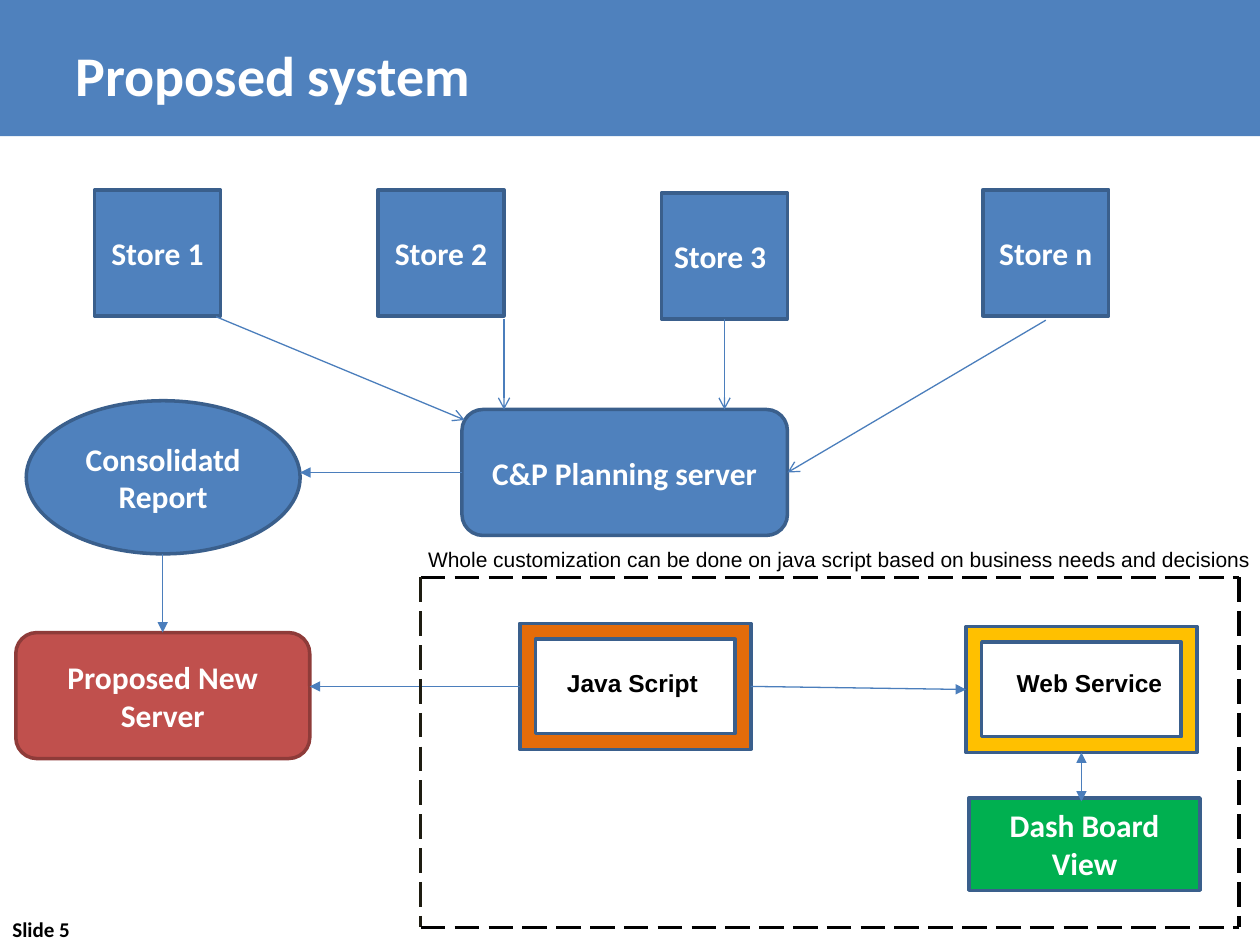
from lxml import etree
from pptx import Presentation
from pptx.dml.color import RGBColor
from pptx.enum.dml import MSO_LINE
from pptx.enum.shapes import MSO_CONNECTOR, MSO_SHAPE
from pptx.enum.text import MSO_ANCHOR, PP_ALIGN
from pptx.oxml.ns import qn
from pptx.util import Pt

RECT, ROUNDED = MSO_SHAPE.RECTANGLE, MSO_SHAPE.ROUNDED_RECTANGLE
OVAL, FRAME = MSO_SHAPE.OVAL, MSO_SHAPE.FRAME
PROCESS = MSO_SHAPE.FLOWCHART_PROCESS
STRAIGHT = MSO_CONNECTOR.STRAIGHT
LONG_DASH = MSO_LINE.LONG_DASH
TOP, MIDDLE = MSO_ANCHOR.TOP, MSO_ANCHOR.MIDDLE
LEFT, CENTER = PP_ALIGN.LEFT, PP_ALIGN.CENTER

COLORS = {
    "blue": "4F81BD", "blue_edge": "3A5F8C", "arrow": "4B7EBC",
    "red": "C0504D", "red_edge": "8E3B39", "orange": "E46C0A",
    "yellow": "FFC000", "green": "00B050",
    "white": "FFFFFF", "black": "000000", "dark": "1E1C11",
}


def rgb(name):
    return RGBColor.from_string(COLORS[name])


class Diagram:
    edge_width = 2
    arrow_width = 0.75
    dash_width = 1.75

    def __init__(self, slide):
        self.shapes = slide.shapes

    def set_text(self, shape, text, size=18, font="Calibri", color="white",
                 bold=True, align=CENTER, anchor=MIDDLE, **frame_format):
        frame = shape.text_frame
        settings = {"word_wrap": True, "vertical_anchor": anchor, **frame_format}
        for name, value in settings.items():
            setattr(frame, name, value)
        paragraph = frame.paragraphs[0]
        paragraph.alignment = align
        run = paragraph.add_run()
        run.text = text
        for name, value in {"size": Pt(size), "name": font, "bold": bold}.items():
            setattr(run.font, name, value)
        run.font.color.rgb = rgb(color)

    def box(self, kind, x, y, w, h, text="", fill="blue", edge="blue_edge",
            **text_format):
        shape = self.shapes.add_shape(kind, Pt(x), Pt(y), Pt(w), Pt(h))
        shape.shadow.inherit = False
        shape.fill.solid()
        shape.fill.fore_color.rgb = rgb(fill)
        if edge:
            shape.line.color.rgb = rgb(edge)
            shape.line.width = Pt(self.edge_width)
        else:
            shape.line.fill.background()
        if text:
            self.set_text(shape, text, **text_format)

    def label(self, x, y, w, h, text, **text_format):
        area = self.shapes.add_textbox(Pt(x), Pt(y), Pt(w), Pt(h))
        self.set_text(area, text, **{"align": LEFT, "anchor": TOP,
                                     "color": "black", **text_format})

    def line(self, start, end, color, width):
        link = self.shapes.add_connector(
            STRAIGHT, Pt(start[0]), Pt(start[1]), Pt(end[0]), Pt(end[1]))
        link.line.color.rgb = rgb(color)
        link.line.width = Pt(width)
        etree.SubElement(link.element.spPr, qn("a:effectLst"))
        return link

    def arrow(self, start, end, tail="triangle", head=None):
        link = self.line(start, end, "arrow", self.arrow_width)
        outline = link.element.spPr.find(qn("a:ln"))
        for tag, kind in (("a:headEnd", head), ("a:tailEnd", tail)):
            if kind:
                etree.SubElement(outline, qn(tag), type=kind)

    def dashed(self, start, end, color="black"):
        self.line(start, end, color, self.dash_width).line.dash_style = LONG_DASH


prs = Presentation()
prs.slide_width, prs.slide_height = Pt(720), Pt(540)
diagram = Diagram(prs.slides.add_slide(prs.slide_layouts[6]))

# Title band and slide number
diagram.box(RECT, 0, 0, 720, 77.75, edge=None)
diagram.label(36, 12.25, 648, 60, "Proposed system", size=32, color="white",
              anchor=MIDDLE)
diagram.label(0, 520, 60, 20, "Slide 5", size=12)

# Stores
stores = [("Store 1", 54, 108.5, 7.2), ("Store 2", 216, 108.5, 7.2),
          ("Store 3", 378, 110.2, 12), ("Store n", 561.6, 108.5, 7.2)]
for store, x, y, right_inset in stores:
    diagram.box(RECT, x, y, 72, 72, store, margin_right=Pt(right_inset))

# Servers and report
diagram.box(ROUNDED, 264, 234, 186, 72, "C&P Planning server")
diagram.box(OVAL, 15, 229, 156.5, 87.5, "Consolidatd Report")
diagram.box(ROUNDED, 9, 361.5, 168, 72, "Proposed New Server",
            fill="red", edge="red_edge")

# Stores feed the planning server
feeds = [((123.5, 181), (265.5, 240)), ((288, 182.5), (288, 234)),
         ((414, 182.5), (414, 234)), ((597.6, 183), (450, 270))]
for start, end in feeds:
    diagram.arrow(start, end, tail="arrow")

# Script, web service and dashboard
modules = [("Java Script", 297, 356.25, "orange", 309),
           ("Web Service", 552, 358, "yellow", 566)]
for module, x, y, fill, label_x in modules:
    diagram.box(FRAME, x, y, 132, 72, fill=fill)
    diagram.label(label_x, 378, 108, 24.5, module, size=14, font="Arial",
                  margin_left=Pt(15))
diagram.box(PROCESS, 553.75, 456, 132, 52.75, "Dash Board View", fill="green")

# Data flow
diagram.arrow((264, 270), (171.5, 270))
diagram.arrow((93, 316.5), (93, 361.5))
diagram.arrow((297, 392.25), (177, 392.25))
diagram.arrow((429, 392.25), (552, 394))
diagram.arrow((618, 430), (618, 458), head="triangle")

# Customization area
left, top, right, bottom = 240.5, 330, 708, 530
diagram.dashed((left, top), (right, top))
diagram.dashed((left, top), (left, bottom), color="dark")
diagram.dashed((right, top), (right, bottom))
diagram.dashed((left, bottom), (right, bottom))
diagram.label(237.5, 309, 491, 21.8,
              "Whole customization can be done on java script "
              "based on business needs and decisions",
              size=12, font="Arial", bold=False, word_wrap=False)

prs.save("out.pptx")
